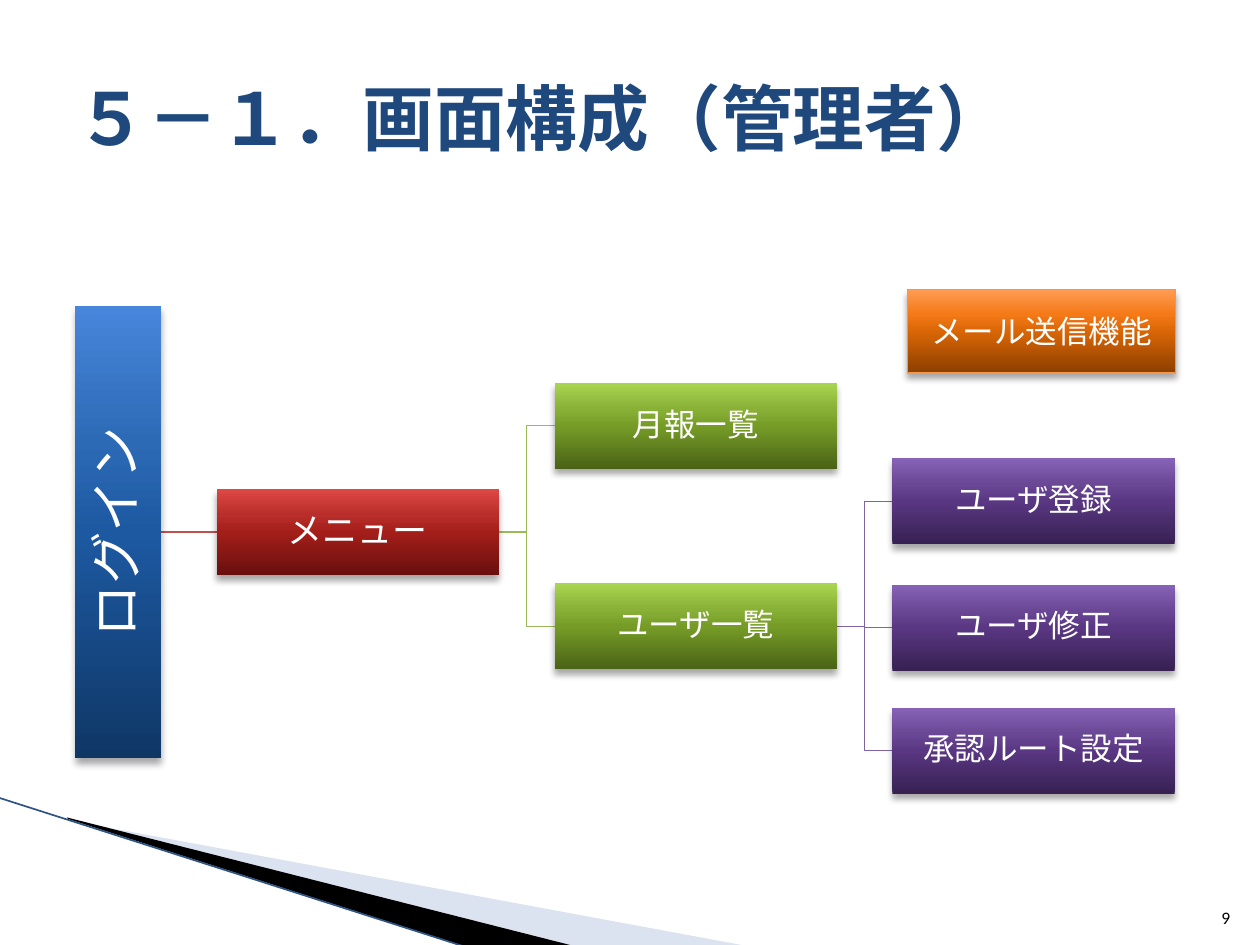
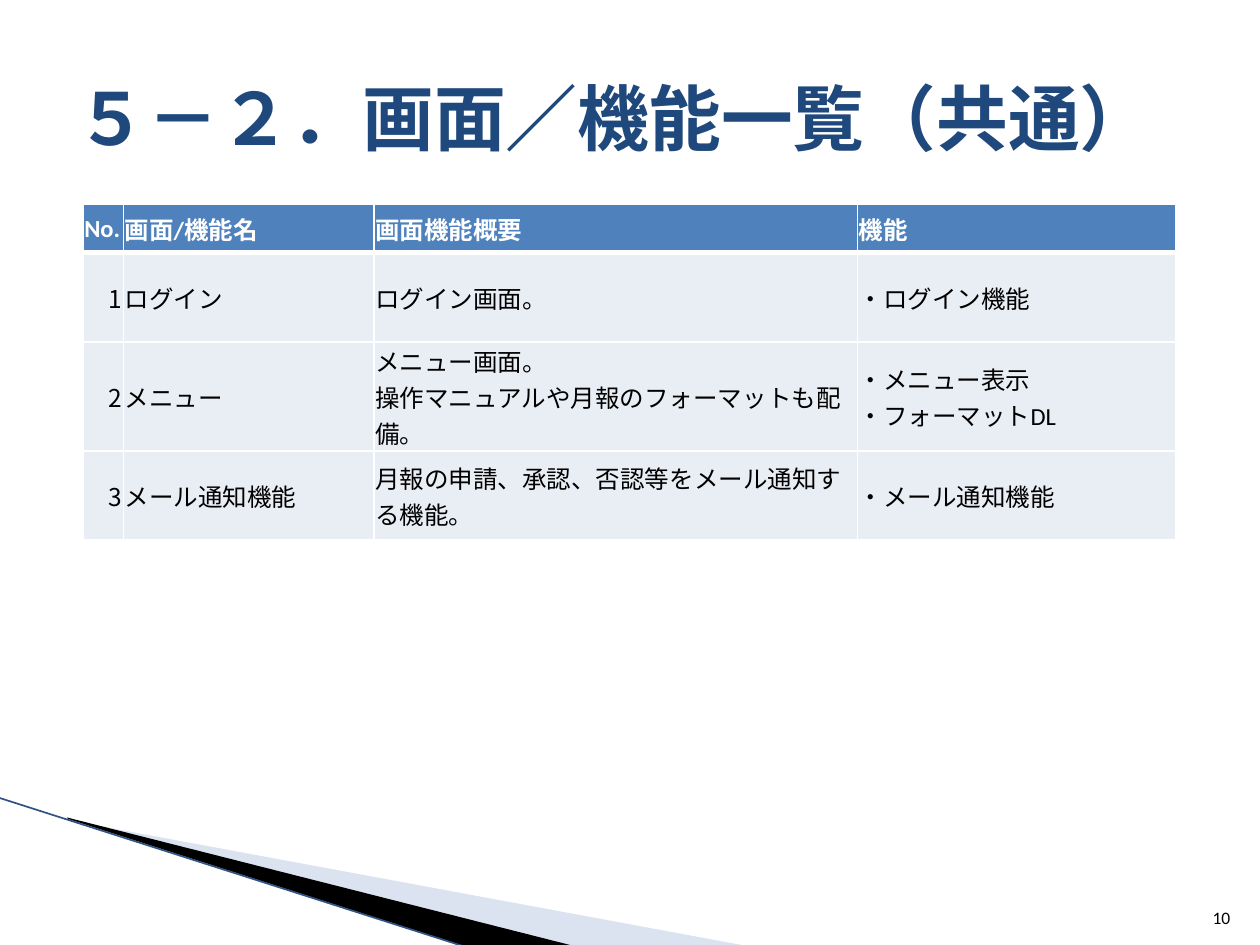
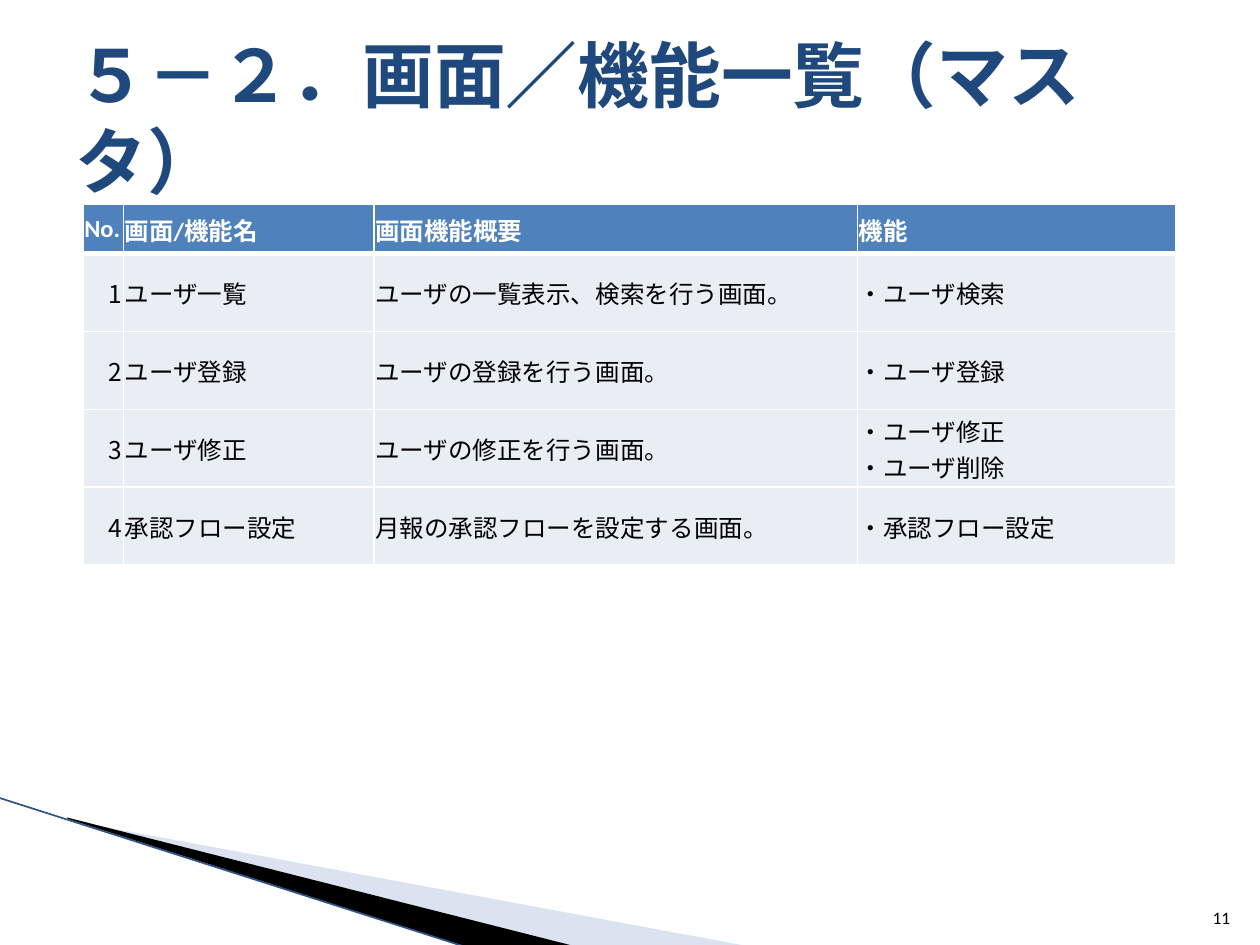
from dataclasses import dataclass
from typing import NamedTuple

from lxml import etree
from pptx import Presentation
from pptx.dml.color import RGBColor as RGB
from pptx.enum.shapes import MSO_CONNECTOR as LINK, MSO_SHAPE as SHAPE
from pptx.enum.text import MSO_ANCHOR as ANCHOR, MSO_AUTO_SIZE as FIT, PP_ALIGN as ALIGN
from pptx.oxml import parse_xml
from pptx.oxml.ns import nsdecls, qn
from pptx.util import Cm, Pt

# Colours and fonts
WHITE = RGB(0xFF, 0xFF, 0xFF)
BLACK = RGB(0, 0, 0)
NAVY = RGB(0x1F, 0x49, 0x7D)
PALE = RGB(0xA7, 0xB9, 0xDB)
EDGE = RGB(0x2E, 0x53, 0x84)
HEAD = RGB(0x4F, 0x81, 0xBD)
BODY = RGB(0xE9, 0xED, 0xF4)
RED = RGB(0xC0, 0x50, 0x4D)
GREEN = RGB(0x9B, 0xBB, 0x59)
PURPLE = RGB(0x80, 0x64, 0xA2)
ORANGE = RGB(0xF7, 0x96, 0x46)
LATIN, SERIF, CJK = "Calibri", "Cambria", "Noto Sans CJK JP"
DOT = "・"

# Gradients, from the bottom edge to the top
STOPS = (0, 50, 70, 100)
BLUES = ("0F3766", "1D59A1", "2D6AB6", "4786DB")
REDS = ("68100E", "A41E1A", "B92E2A", "DF4845")
GREENS = ("4A6316", "769C27", "89B137", "A9D651")
PURPLES = ("372152", "593782", "6A4895", "8763B7")
ORANGES = ("8B3F00", "DA6606", "F47917", "FF9C54")


class Style(NamedTuple):
    size: float
    color: RGB = BLACK
    font: str = LATIN
    bold: bool = False
    asian: str = CJK


@dataclass
class Box:
    """A box of the screen map; lengths in cm."""
    text: str
    x: float
    y: float
    shades: tuple
    size: float = 18
    w: float = 5.69
    h: float = 1.73
    turn: int = 0
    font: str = LATIN
    inset: float = 0.03
    space: float = 0.9

    @property
    def mid(self) -> float:
        return self.y + self.h / 2

    @property
    def left(self) -> float:
        return self.x + (self.w - self.h) / 2 if self.turn else self.x

    @property
    def right(self) -> float:
        return self.left + (self.h if self.turn else self.w)


# Text
def add_run(para, text: str, style: Style) -> None:
    run = para.add_run()
    run.text = text
    font = run.font
    font.size, font.bold, font.name = Pt(style.size), style.bold, style.font
    font.color.rgb = style.color
    props = run._r.get_or_add_rPr()
    props.set("lang", "ja-JP")
    etree.SubElement(props, qn("a:ea")).set("typeface", style.asian)


def write(frame, text: str, style: Style, align=ALIGN.LEFT) -> None:
    """Write paragraphs split by newline; a vertical tab breaks a line."""
    for i, part in enumerate(text.split("\n")):
        para = frame.add_paragraph() if i else frame.paragraphs[0]
        para.alignment = align
        for j, line in enumerate(part.split("\v")):
            if j:
                para.add_line_break()
            if line.startswith(DOT):  # a narrow dot
                add_run(para, DOT, style._replace(asian=LATIN))
                line = line[1:]
            add_run(para, line, style)


def set_inset(item, side: float, base: float) -> None:
    item.margin_left = item.margin_right = item.margin_top = Cm(side)
    item.margin_bottom = Cm(base)


# Lines and corner band
def add_link(slide, kind, start: tuple, end: tuple, color: RGB, width: float) -> None:
    link = slide.shapes.add_connector(kind, *map(Cm, start + end))
    link.line.color.rgb, link.line.width = color, Pt(width)
    etree.SubElement(link._element.spPr, qn("a:effectLst"))


def add_wedge(slide, points: list, color: RGB, alpha: int = 100) -> None:
    dots = [(round(x * 100), round(y * 100)) for x, y in points]
    path = slide.shapes.build_freeform(*dots[0], scale=Cm(0.01))
    path.add_line_segments(dots[1:], close=True)
    wedge = path.convert_to_shape()
    wedge.fill.solid()
    wedge.fill.fore_color.rgb = color
    wedge.line.fill.background()
    wedge.shadow.inherit = False
    if alpha < 100:
        tint = wedge._element.spPr.find(".//" + qn("a:srgbClr"))
        etree.SubElement(tint, qn("a:alpha")).set("val", str(alpha * 1000))


def add_page(deck, title: str, number: int):
    """Add a slide with the corner band, title and page number."""
    slide = deck.slides.add_slide(deck.slide_layouts[5])
    add_wedge(slide, [(1.4, 16.54), (15.11, 19.08), (11.58, 19.08), (1.4, 16.51)], PALE, 40)
    add_wedge(slide, [(1.35, 16.48), (11.61, 19.08), (9.45, 19.1), (1.37, 16.51)], BLACK)
    add_link(slide, LINK.STRAIGHT, (-0.03, 16.08), (9.42, 19.1), EDGE, 0.95)

    head = slide.shapes.title
    head.left, head.top, head.width, head.height = map(Cm, (1.27, 0.76, 22.86, 3.18))
    frame = head.text_frame
    frame.auto_size, frame.vertical_anchor = FIT.NONE, ANCHOR.MIDDLE
    write(frame, title, Style(41, NAVY, SERIF, True, LATIN))

    foot = slide.shapes.add_textbox(*map(Cm, (24.03, 17.81, 1.02, 1.02))).text_frame
    foot.word_wrap, foot.vertical_anchor = True, ANCHOR.BOTTOM
    write(foot, str(number), Style(10), ALIGN.RIGHT)
    return slide


# Screen map
def add_box(slide, box: Box):
    shape = slide.shapes.add_shape(SHAPE.RECTANGLE, *map(Cm, (box.x, box.y, box.w, box.h)))
    shape.rotation = box.turn
    stops = "".join(f'<a:gs pos="{pos * 1000}"><a:srgbClr val="{shade}"/></a:gs>'
                    for pos, shade in zip(STOPS, box.shades))
    props = shape._element.spPr
    props.find(qn("a:prstGeom")).addnext(parse_xml(
        f'<a:gradFill {nsdecls("a")} rotWithShape="0"><a:gsLst>{stops}</a:gsLst>'
        '<a:lin ang="16200000" scaled="0"/></a:gradFill>'))
    shape.line.fill.background()
    shape.shadow.inherit = False
    props.find(qn("a:effectLst")).append(parse_xml(
        f'<a:outerShdw {nsdecls("a")} blurRad="{Pt(4)}" dist="{Pt(3)}" dir="5400000"'
        ' rotWithShape="0"><a:srgbClr val="000000"><a:alpha val="35000"/></a:srgbClr>'
        '</a:outerShdw>'))
    frame = shape.text_frame
    frame.word_wrap, frame.vertical_anchor = True, ANCHOR.MIDDLE
    set_inset(frame, box.inset, box.inset)
    write(frame, box.text, Style(box.size, WHITE, box.font), ALIGN.CENTER)
    frame.paragraphs[0].line_spacing = box.space
    return shape


def add_tree(slide, root: Box, kids: list, color: RGB) -> None:
    for kid in kids:
        kind = LINK.STRAIGHT if kid.mid == root.mid else LINK.ELBOW
        add_link(slide, kind, (root.right, root.mid), (kid.left, kid.mid), color, 0.75)


# Function tables
COLS = (0.81, 5.05, 9.75, 6.42)
TITLES = ("No.", "画面/機能名", "画面機能概要", "機能")


def add_rule(cell) -> None:
    """Draw the thick white line under a header cell."""
    cell._tc.get_or_add_tcPr().insert(0, parse_xml(
        f'<a:lnB {nsdecls("a")} w="{Pt(3)}"><a:solidFill><a:srgbClr val="{WHITE}"/>'
        '</a:solidFill></a:lnB>'))


def add_list(slide, rows: list, highs: list) -> None:
    """Add a numbered table; highs are the row heights, header first."""
    grid = slide.shapes.add_table(len(highs), len(COLS), Cm(1.68), Cm(4.12),
                                  Cm(sum(COLS)), Cm(sum(highs))).table
    grid.horz_banding = False
    for col, wide in zip(grid.columns, COLS):
        col.width = Cm(wide)
    lines = [TITLES] + [(str(n), *row) for n, row in enumerate(rows, 1)]
    for r, (line, high) in enumerate(zip(lines, highs)):
        grid.rows[r].height = Cm(high)
        for c, text in enumerate(line):
            cell = grid.cell(r, c)
            cell.fill.solid()
            cell.fill.fore_color.rgb = BODY if r else HEAD
            cell.vertical_anchor = ANCHOR.MIDDLE
            set_inset(cell, 0.02, 0)
            if not r:
                add_rule(cell)
            count = r > 0 and c == 0
            style = Style(14, font=CJK if count else LATIN) if r else Style(14, WHITE, bold=True)
            write(cell.text_frame, text, style, ALIGN.RIGHT if count else ALIGN.LEFT)


deck = Presentation()
deck.slide_width, deck.slide_height = Cm(25.4), Cm(19.05)

# Slide 1: screen map
page = add_page(deck, "５－１．画面構成（管理者）", 9)
X2, X3, X4 = (4.37 + 6.81 * i for i in range(3))
login = Box("ログイン", -2.18, 9.86, BLUES, 30, w=9.12, turn=270)
menu = Box("メニュー", X2, 9.86, REDS, 20)
lists = [Box("月報一覧", X3, 7.72, GREENS), Box("ユーザ一覧", X3, 11.76, GREENS)]
forms = [Box(text, X4, y, PURPLES) for text, y in
         (("ユーザ登録", 9.24), ("ユーザ修正", 11.79), ("承認ルート設定", 14.27))]
add_tree(page, lists[1], forms, PURPLE)
add_tree(page, menu, lists, GREEN)
add_tree(page, login, [menu], RED)
for box in (login, menu, *lists, *forms):
    add_box(page, box)
mail = add_box(page, Box("メール送信機能", 18.29, 5.84, ORANGES, w=5.41, h=1.68,
                         font=CJK, inset=0.13, space=1.0))
mail.line.color.rgb, mail.line.width = ORANGE, Pt(0.75)

# Slide 2: common functions; the menu row holds three lines
page = add_page(deck, "５－２．画面／機能一覧（共通）", 10)
add_list(page, [
    ("ログイン", "ログイン画面。", "・ログイン機能"),
    ("メニュー", "メニュー画面。\n操作マニュアルや月報のフォーマットも配備。",
     "・メニュー表示\v・フォーマットDL"),
    ("メール通知機能", "月報の申請、承認、否認等をメール通知する機能。", "・メール通知機能"),
], [0.97, 1.8, 2.2, 1.8])

# Slide 3: master functions
page = add_page(deck, "５－２．画面／機能一覧（マスタ）", 11)
add_list(page, [
    ("ユーザ一覧", "ユーザの一覧表示、検索を行う画面。", "・ユーザ検索"),
    ("ユーザ登録", "ユーザの登録を行う画面。", "・ユーザ登録"),
    ("ユーザ修正", "ユーザの修正を行う画面。", "・ユーザ修正\n・ユーザ削除"),
    ("承認フロー設定", "月報の承認フローを設定する画面。", "・承認フロー設定"),
], [0.99] + [1.57] * 4)

deck.save("out.pptx")
